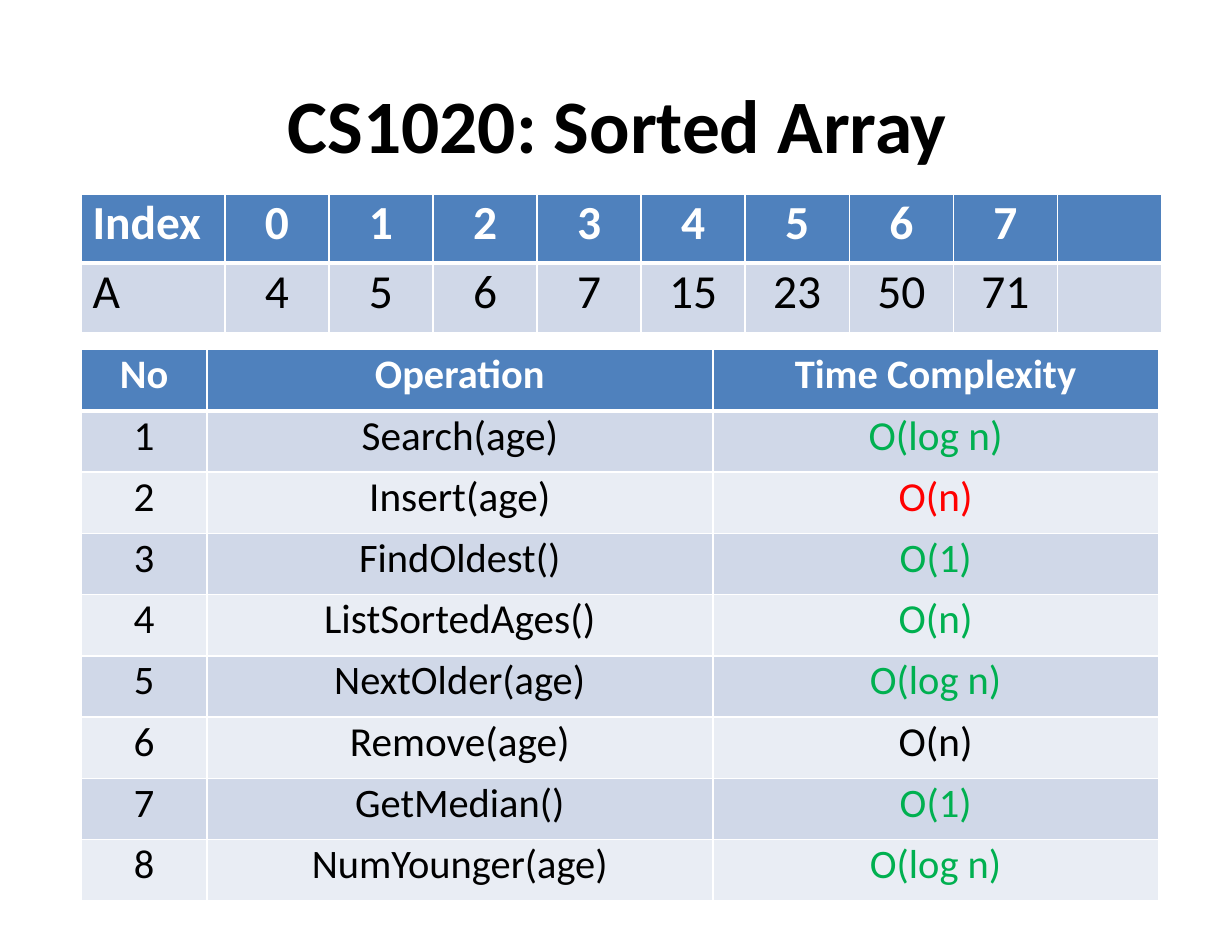
from dataclasses import dataclass

from lxml import etree
from pptx import Presentation
from pptx.dml.color import RGBColor
from pptx.enum.text import MSO_ANCHOR, PP_ALIGN
from pptx.oxml.ns import qn
from pptx.util import Cm, Pt

LEFT, CENTER = PP_ALIGN.LEFT, PP_ALIGN.CENTER
TOP = MSO_ANCHOR.TOP
FONT = "Calibri"
BLACK, WHITE = "000000", "FFFFFF"
GREEN, RED = "00B050", "FF0000"
HEAD, DARK, LIGHT = "4F81BD", "D0D8E8", "E9EDF4"
THIN, THICK = 1.1, 3.3


@dataclass
class Line:
    cells: tuple[str, ...]
    size: float
    gap: float
    last: str = BLACK


@dataclass
class Grid:
    top: float
    widths: list[float]
    height: float
    lines: list[Line]
    lead: PP_ALIGN = CENTER


def color(code: str) -> RGBColor:
    return RGBColor.from_string(code)


def style(para, size: float, code: str, bold: bool) -> None:
    for run in para.runs:
        font = run.font
        font.name, font.size, font.bold = FONT, Pt(size), bold
        font.color.rgb = color(code)


def border(cell, side: str, width: float) -> None:
    props = cell._tc.get_or_add_tcPr()
    edge = etree.SubElement(props, qn(f"a:ln{side}"), w=str(Pt(width)))
    fill = etree.SubElement(edge, qn("a:solidFill"))
    etree.SubElement(fill, qn("a:srgbClr"), val=WHITE)


def paint(cell, row: int) -> None:
    sides = {
        "L": THIN,
        "R": THIN,
        "T": THICK if row == 1 else THIN,
        "B": THICK if row == 0 else THIN,
    }
    for side, width in sides.items():
        border(cell, side, width)
    cell.fill.solid()
    shade = HEAD if row == 0 else DARK if row % 2 else LIGHT
    cell.fill.fore_color.rgb = color(shade)


def write(cell, text: str, line: Line, code: str, bold: bool, align) -> None:
    cell.margin_left = cell.margin_right = 0
    cell.margin_top = cell.margin_bottom = 0
    para = cell.text_frame.paragraphs[0]
    para.text = text
    para.alignment = align
    para.space_before = Pt(line.gap)
    style(para, line.size, code, bold)


def draw(slide, grid: Grid) -> None:
    count = len(grid.lines)
    table = slide.shapes.add_table(
        count, len(grid.widths), Cm(1.85), Cm(grid.top),
        Cm(sum(grid.widths)), Cm(grid.height * count),
    ).table
    for col, width in zip(table.columns, grid.widths):
        col.width = Cm(width)
    for row, line in enumerate(grid.lines):
        table.rows[row].height = Cm(grid.height)
        for col, text in enumerate(line.cells):
            cell = table.cell(row, col)
            paint(cell, row)
            final = col == len(line.cells) - 1
            code = WHITE if row == 0 else line.last if final else BLACK
            align = grid.lead if col == 0 else CENTER
            write(cell, text, line, code, row == 0, align)
            if align == LEFT:
                cell.margin_left = Cm(0.25)


def title(slide, text: str) -> None:
    box = slide.shapes.add_textbox(Cm(1.65), Cm(0.84), Cm(24.66), Cm(4.04))
    frame = box.text_frame
    frame.word_wrap = True
    frame.vertical_anchor = TOP
    frame.margin_left, frame.margin_top = Cm(4.88), Cm(0.94)
    frame.margin_right = frame.margin_bottom = 0
    frame.text = text
    style(frame.paragraphs[0], 48.5, BLACK, True)


ARRAY = Grid(4.4, [3.25] + [2.36] * 9, 1.57, [
    Line(("Index", *"01234567", ""), 30.5, 1.8),
    Line(("A", "4", "5", "6", "7", "15", "23", "50", "71", ""), 30.5, 0.7),
], LEFT)

COSTS = Grid(7.93, [2.84, 11.48, 10.1], 1.39, [
    Line(("No", "Operation", "Time Complexity"), 26, 2.1),
    Line(("1", "Search(age)", "O(log n)"), 26.5, 0.5, GREEN),
    Line(("2", "Insert(age)", "O(n)"), 26.5, 1.6, RED),
    Line(("3", "FindOldest()", "O(1)"), 26, 2.1, GREEN),
    Line(("4", "ListSortedAges()", "O(n)"), 26.5, 1.6, GREEN),
    Line(("5", "NextOlder(age)", "O(log n)"), 26, 2.1, GREEN),
    Line(("6", "Remove(age)", "O(n)"), 26.5, 1.6),
    Line(("7", "GetMedian()", "O(1)"), 26, 2.1, GREEN),
    Line(("8", "NumYounger(age)", "O(log n)"), 26, 2.1, GREEN),
])


def main() -> None:
    deck = Presentation()
    deck.slide_width, deck.slide_height = Cm(27.94), Cm(21.59)
    slide = deck.slides.add_slide(deck.slide_layouts[6])
    title(slide, "CS1020: Sorted Array")
    for grid in (ARRAY, COSTS):
        draw(slide, grid)
    deck.save("out.pptx")


if __name__ == "__main__":
    main()
